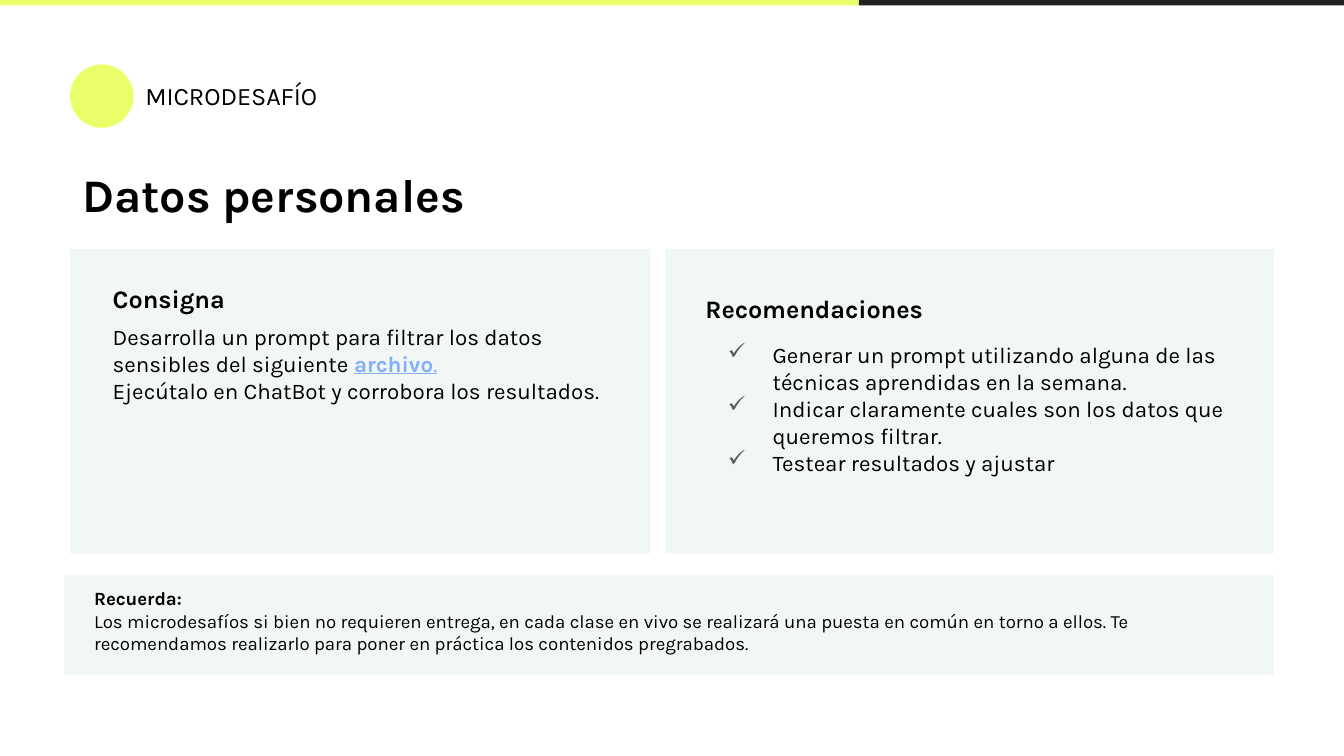
from lxml import etree
from pptx import Presentation
from pptx import util as u
from pptx.dml.color import RGBColor
from pptx.enum import shapes, text
from pptx.oxml import ns

COLORS = {
    "black": "000000",
    "dark": "212121",
    "lime": "EAFF6A",
    "panel": "F0F7F5",
    "link": "83AEFB",
    "bullet": "595959",
}


class SlideBuilder:
    font_name = "Karla"
    inset = u.Pt(7.2)

    def __init__(self, slide):
        self.slide = slide

    def color(self, name):
        return RGBColor.from_string(COLORS[name])

    def block(self, left, top, width, height, fill, kind=shapes.MSO_SHAPE.RECTANGLE):
        shape = self.slide.shapes.add_shape(
            kind, u.Pt(left), u.Pt(top), u.Pt(width), u.Pt(height))
        shape.shadow.inherit = False
        shape.fill.solid()
        shape.fill.fore_color.rgb = self.color(fill)
        shape.line.fill.background()

    def text_box(self, left, top, width, height):
        box = self.slide.shapes.add_textbox(
            u.Pt(left), u.Pt(top), u.Pt(width), u.Pt(height))
        frame = box.text_frame
        frame.word_wrap = True
        frame.auto_size = text.MSO_AUTO_SIZE.SHAPE_TO_FIT_TEXT
        frame.margin_left = frame.margin_right = self.inset
        frame.margin_top = frame.margin_bottom = self.inset
        return frame

    def run(self, paragraph, content, size, bold=False, color="black", underline=False):
        run = paragraph.add_run()
        run.text = content
        run.font.name = self.font_name
        run.font.size = u.Pt(size)
        run.font.bold = bold
        run.font.underline = underline
        run.font.color.rgb = self.color(color)

    def heading(self, frame, content, size, bold=True):
        paragraph = frame.paragraphs[0]
        self.run(paragraph, content, size, bold)
        return paragraph

    def body(self, frame, content, size, space_before=0):
        paragraph = frame.add_paragraph()
        paragraph.space_before = u.Pt(space_before)
        self.run(paragraph, content, size)
        return paragraph

    def checklist(self, frame, items, size):
        for index, item in enumerate(items):
            paragraph = frame.add_paragraph() if index else frame.paragraphs[0]
            properties = paragraph._p.get_or_add_pPr()
            properties.set("marL", str(u.Pt(36)))
            properties.set("indent", str(u.Pt(-24)))
            bullet_color = etree.SubElement(properties, ns.qn("a:buClr"))
            etree.SubElement(bullet_color, ns.qn("a:srgbClr"), val=COLORS["bullet"])
            etree.SubElement(properties, ns.qn("a:buChar"), char="✓")
            self.run(paragraph, item, size)


def main():
    presentation = Presentation()
    presentation.slide_width = u.Pt(720)
    presentation.slide_height = u.Pt(405)
    builder = SlideBuilder(presentation.slides.add_slide(presentation.slide_layouts[6]))

    builder.block(34.5, 308, 648, 53.5, "panel")
    builder.block(37.5, 133.5, 311, 163, "panel")
    builder.block(356.5, 133.5, 326, 163, "panel")
    builder.block(460, -0.7, 260, 3.6, "dark")
    builder.block(0, -0.7, 460, 3.6, "lime")
    builder.block(37.5, 34.5, 34, 34, "lime", shapes.MSO_SHAPE.OVAL)

    label = builder.text_box(70.8, 36, 236, 31)
    builder.heading(label, "MICRODESAFÍO", 13.5, bold=False)

    title = builder.text_box(37, 85, 579, 42)
    builder.heading(title, "Datos personales", 25).line_spacing = 0.9

    task = builder.text_box(53.3, 144.7, 281, 94)
    builder.heading(task, "Consigna", 13.5)
    sentence = builder.body(
        task, "Desarrolla un prompt para filtrar los datos sensibles del siguiente ", 12, 5)
    builder.run(sentence, "archivo", 12, bold=True, color="link", underline=True)
    builder.run(sentence, ".", 12, color="link", underline=True)
    builder.body(task, "Ejecútalo en ChatBot y corrobora los resultados.", 12)

    advice = builder.text_box(370.8, 149.8, 298, 31)
    builder.heading(advice, "Recomendaciones", 13.5)
    steps = builder.text_box(370.8, 175.7, 295, 87)
    builder.checklist(steps, [
        "Generar un prompt utilizando alguna de las técnicas aprendidas en la semana.",
        "Indicar claramente cuales son los datos que queremos filtrar.",
        "Testear resultados y ajustar",
    ], 12)

    reminder = builder.text_box(43.3, 307.4, 611, 51)
    builder.heading(reminder, "Recuerda:", 10)
    builder.body(
        reminder,
        "Los microdesafíos si bien no requieren entrega, en cada clase en vivo se "
        "realizará una puesta en común en torno a ellos. Te recomendamos realizarlo "
        "para poner en práctica los contenidos pregrabados.", 10)

    presentation.save("out.pptx")


if __name__ == "__main__":
    main()
